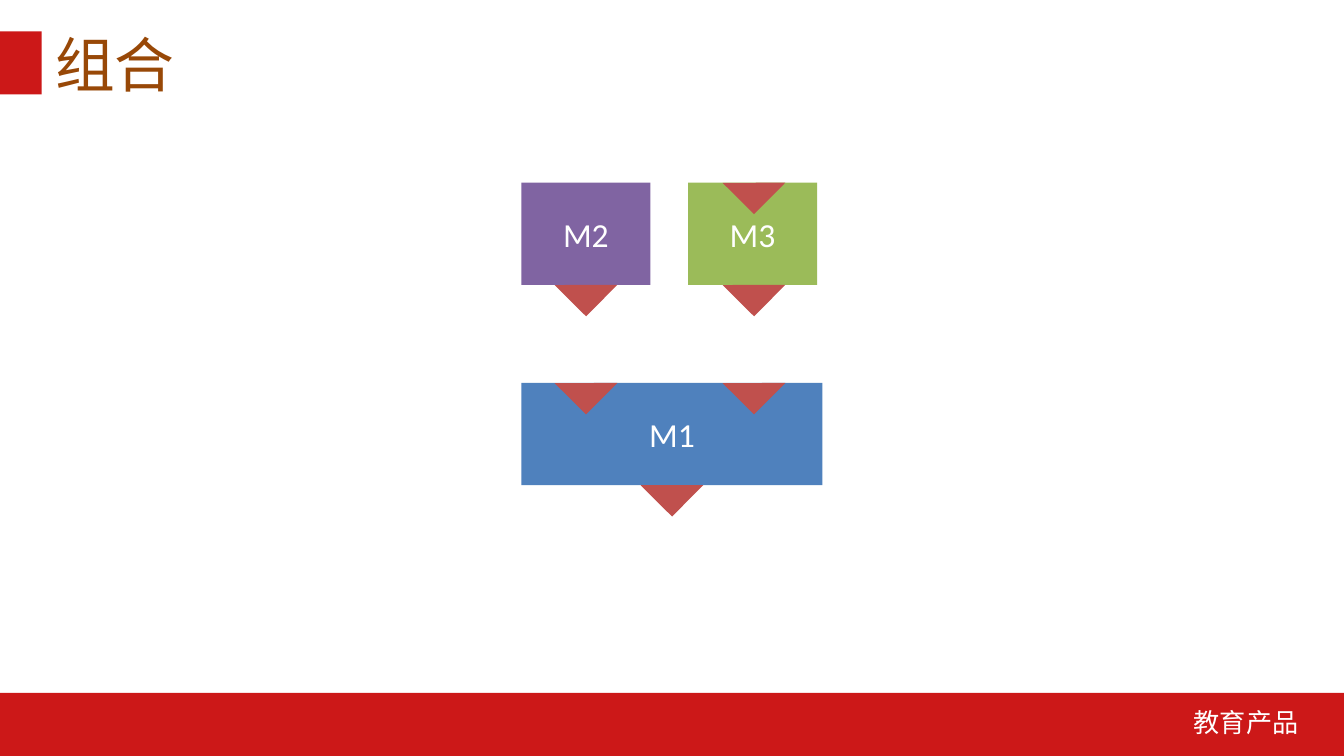
from lxml import etree
from pptx import Presentation
from pptx import util as u
from pptx.dml.color import RGBColor
from pptx.enum import shapes, text
from pptx.oxml.ns import qn

COLORS = {"red": "CC1818", "brown": "984807", "white": "FFFFFF", "blue": "4F81BD",
          "purple": "8064A2", "green": "9BBB59", "port": "C0504D"}
CJK = "Noto Sans CJK SC"
W = 10
H = W * 9 / 16
BAND = H / 12

prs = Presentation()
prs.slide_width, prs.slide_height = u.Inches(W), u.Inches(H)
s = prs.slides.add_slide(prs.slide_layouts[5])


def add_block(kind, left, top, width, height, color):
    sp = s.shapes.add_shape(kind, *map(u.Inches, (left, top, width, height)))
    sp.shadow.inherit = False
    sp.fill.solid()
    sp.fill.fore_color.rgb = RGBColor.from_string(COLORS[color])
    sp.line.fill.background()
    return sp


def write(sp, words, size, font, color, align, anchor):
    tf = sp.text_frame
    tf.word_wrap = True
    tf.vertical_anchor = anchor
    p = tf.paragraphs[0]
    p.text = words
    p.alignment = align
    p.font.size = u.Pt(size)
    p.font.name = font
    p.font.color.rgb = RGBColor.from_string(COLORS[color])
    # East Asian glyphs take their font from a:ea
    latin = p._p.pPr.find(qn("a:defRPr")).find(qn("a:latin"))
    ea = etree.Element(qn("a:ea"), typeface=font)
    latin.addnext(ea)


RECT = shapes.MSO_SHAPE.RECTANGLE
TRIANGLE = shapes.MSO_SHAPE.RIGHT_TRIANGLE
ALIGN, ANCHOR = text.PP_ALIGN, text.MSO_ANCHOR

# Footer band, title marker and their texts
add_block(RECT, 0, H - BAND, W, BAND, "red")
add_block(RECT, 0, BAND / 2, 0.31, BAND, "red")

title = s.shapes.title
title.left, title.top = u.Inches(0.31), u.Inches(0.23)
title.width, title.height = u.Inches(W - 2 * 0.31), u.Inches(0.48)
write(title, "组合", 32, CJK, "brown", ALIGN.LEFT, ANCHOR.MIDDLE)

footer = s.shapes.add_textbox(*map(u.Inches, (3.65, 5.21, 6.11, 0.3)))
write(footer, "教育产品", 14, CJK, "white", ALIGN.RIGHT, ANCHOR.TOP)

# Modules on two rows; ports are centred on a module's top or bottom edge
ROWS = (1.36, 2.85)
MODULE_H, PORT = 0.76, 0.33
LEFT_PORT, MID_PORT, RIGHT_PORT = 4.36, W / 2, 5.61
modules = [
    # name, left, row, width, colour, top ports, bottom port
    ("M1", 3.88, 1, 2.24, "blue", (LEFT_PORT, RIGHT_PORT), MID_PORT),
    ("M2", 3.88, 0, 0.96, "purple", (), LEFT_PORT),
    ("M3", 5.12, 0, 0.96, "green", (RIGHT_PORT,), RIGHT_PORT),
]
for name, left, row, width, color, inputs, output in modules:
    top = ROWS[row]
    module = add_block(RECT, left, top, width, MODULE_H, color)
    write(module, name, 18, "Calibri", "white", ALIGN.CENTER, ANCHOR.MIDDLE)
    ports = [(x, top) for x in inputs] + [(output, top + MODULE_H)]
    for x, y in ports:
        port = add_block(TRIANGLE, x - PORT / 2, y - PORT / 2, PORT, PORT, "port")
        port.rotation = 314.8

prs.save("out.pptx")
